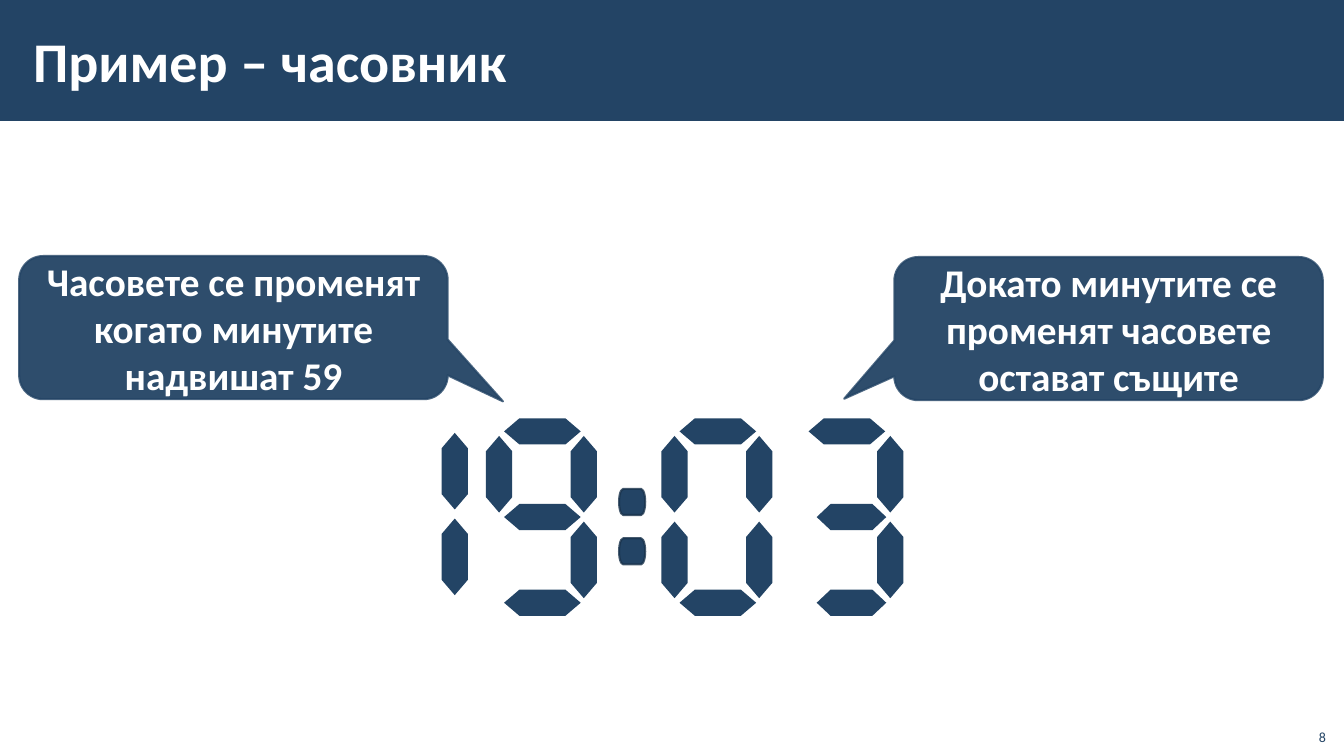
from lxml.etree import SubElement
from pptx import Presentation
from pptx.dml.color import RGBColor
from pptx.enum.shapes import MSO_SHAPE
from pptx.enum.text import MSO_ANCHOR, PP_ALIGN
from pptx.oxml.ns import qn
from pptx.util import Inches, Pt

NAVY = RGBColor(0x23, 0x44, 0x65)
DARK_NAVY = RGBColor(0x1A, 0x33, 0x4C)
WHITE = RGBColor(0xFF, 0xFF, 0xFF)

presentation = Presentation()
presentation.slide_width = Inches(13.33)
presentation.slide_height = Inches(7.5)
slide = presentation.slides.add_slide(presentation.slide_layouts[6])


def add_navy_shape(kind, left, top, width, height, outline=None, opacity=100):
    shape = slide.shapes.add_shape(
        kind, Inches(left), Inches(top), Inches(width), Inches(height))
    shape.shadow.inherit = False
    shape.fill.solid()
    shape.fill.fore_color.rgb = NAVY
    if outline is None:
        shape.line.fill.background()
    else:
        shape.line.color.rgb = outline
        shape.line.width = Pt(1.5)
        fill_color, line_color = shape._element.spPr.iter(qn("a:srgbClr"))
        for color, percent in ((fill_color, opacity), (line_color, 80)):
            SubElement(color, qn("a:alpha"), val=str(percent * 1000))
    return shape


def write_text(shape, text, size, color, bold, alignment, anchor):
    text_frame = shape.text_frame
    text_frame.word_wrap = True
    text_frame.vertical_anchor = anchor
    text_frame.text = text
    paragraph = text_frame.paragraphs[0]
    paragraph.alignment = alignment
    font = paragraph.runs[0].font
    font.name = "Calibri"
    font.size = Pt(size)
    font.bold = bold
    font.color.rgb = color


add_navy_shape(MSO_SHAPE.RECTANGLE, 0, 0, 13.33, 1.2)
title = slide.shapes.add_textbox(Inches(0.21), Inches(0.11), Inches(10.63), Inches(0.97))
title.text_frame.margin_left = title.text_frame.margin_right = Inches(0.12)
title.text_frame.margin_top = title.text_frame.margin_bottom = Inches(0.04)
write_text(title, "Пример – часовник", 40, WHITE, True, PP_ALIGN.LEFT, MSO_ANCHOR.MIDDLE)

for dot_top in (4.85, 5.34):
    add_navy_shape(MSO_SHAPE.FLOWCHART_TERMINATOR, 6.14, dot_top, 0.26, 0.26, DARK_NAVY)

LENGTH, THICKNESS = 0.76, 0.26
FIRST_ROW, ROW_STEP = 4.28, 0.85
LEFT_COLUMN, RIGHT_COLUMN = -0.05, 0.79
ONE, NINE, ZERO, THREE = 3.72, 5.0, 6.74, 8.04

bars = [(NINE, LENGTH, row) for row in range(3)]
bars += [(ZERO, LENGTH, row) for row in (0, 2)]
bars += [(THREE - 0.02, LENGTH, 0), (THREE + 0.06, 0.69, 1), (THREE + 0.06, 0.69, 2)]
for left, length, row in bars:
    top = FIRST_ROW + row * ROW_STEP - THICKNESS / 2
    add_navy_shape(MSO_SHAPE.FLOWCHART_PREPARATION, left, top, length, THICKNESS)

posts = [
    (ONE + RIGHT_COLUMN, -0.03, (0, 1)),
    (NINE + LEFT_COLUMN, 0, (0,)),
    (NINE + RIGHT_COLUMN, 0, (0, 1)),
    (ZERO + LEFT_COLUMN, 0, (0, 1)),
    (ZERO + RIGHT_COLUMN, 0, (0, 1)),
    (THREE + RIGHT_COLUMN, 0, (0, 1)),
]
for center, shift, rows in posts:
    for row in rows:
        middle = FIRST_ROW + (row + 0.5) * ROW_STEP + shift
        post = add_navy_shape(MSO_SHAPE.FLOWCHART_PREPARATION, center - LENGTH / 2,
                              middle - THICKNESS / 2, LENGTH, THICKNESS)
        post.rotation = 90

callouts = [
    (0.19, 2.54, (0.629, 0.515, 0.167), "Часовете се променят когато минутите надвишат 59"),
    (8.87, 2.55, (-0.617, 0.49, 0.167), "Докато минутите се променят часовете остават същите"),
]
for left, top, adjustments, text in callouts:
    callout = add_navy_shape(MSO_SHAPE.ROUNDED_RECTANGULAR_CALLOUT,
                             left, top, 4.25, 1.42, NAVY, 95)
    for index, value in enumerate(adjustments):
        callout.adjustments[index] = value
    write_text(callout, text, 28, WHITE, True, PP_ALIGN.CENTER, MSO_ANCHOR.MIDDLE)

page_number = slide.shapes.add_textbox(Inches(12.85), Inches(7.12), Inches(0.4), Inches(0.32))
write_text(page_number, "8", 10, NAVY, False, PP_ALIGN.RIGHT, MSO_ANCHOR.BOTTOM)

presentation.save("out.pptx")
